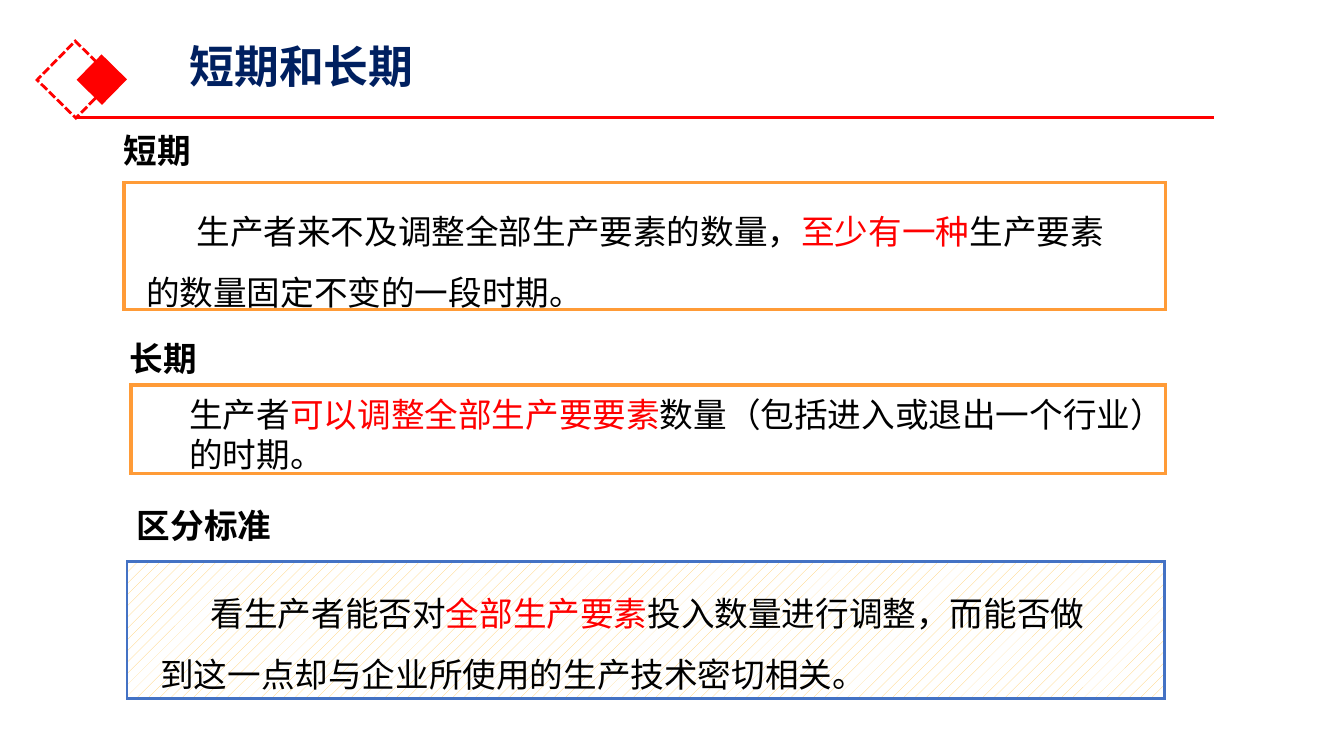
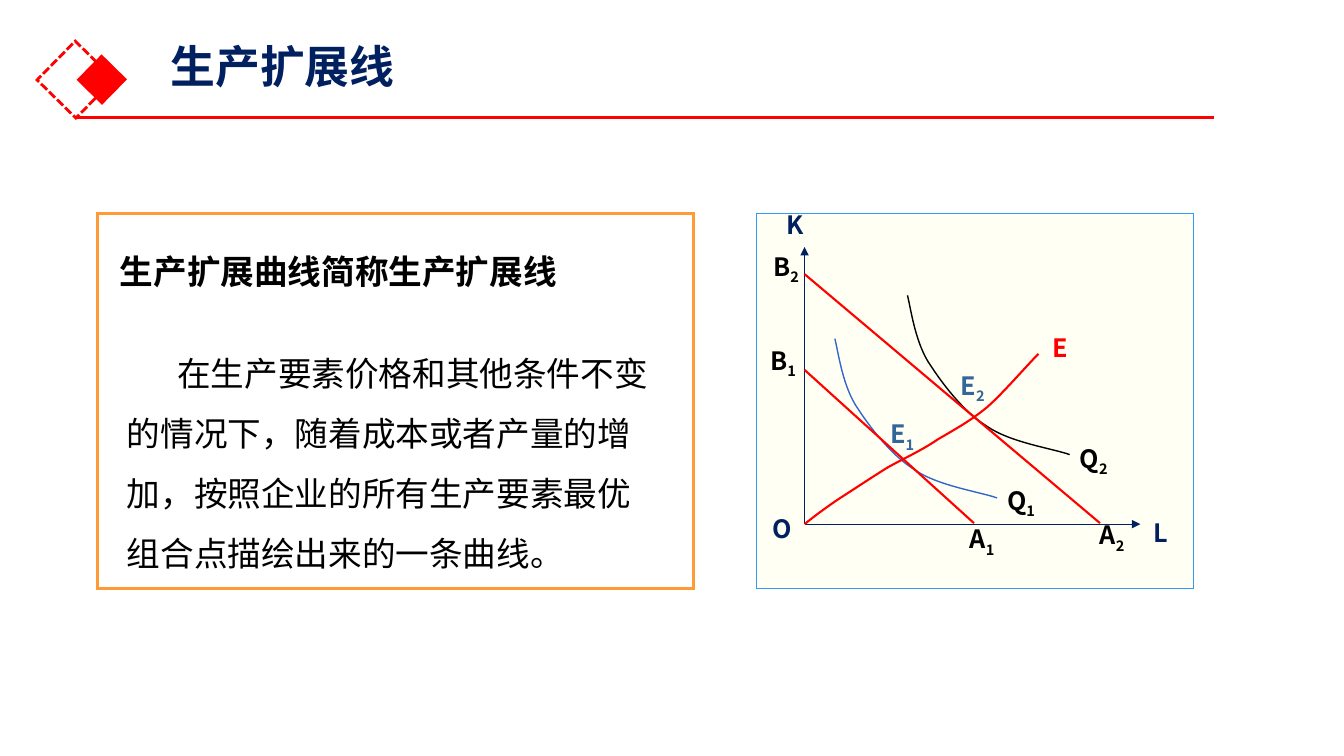
from lxml import etree
from pptx import Presentation, util as u
from pptx.dml.color import RGBColor
from pptx.enum import dml, shapes, text
from pptx.oxml.ns import qn

FONT = "Noto Sans CJK SC"
RED = RGBColor(0xFF, 0, 0)
NAVY = RGBColor(0, 0x20, 0x60)
BLACK = RGBColor(0, 0, 0)
WHITE = RGBColor(0xFF, 0xFF, 0xFF)
ORANGE = RGBColor(0xFF, 0x9B, 0x37)
GOLD = RGBColor(0xFF, 0xCC, 0x66)
BLUE = RGBColor(0x44, 0x72, 0xC4)
SKY = RGBColor(0x33, 0x99, 0xFF)
CREAM = RGBColor(0xFF, 0xFF, 0xF3)
ROYAL = RGBColor(0x33, 0x66, 0xCC)
STEEL = RGBColor(0x33, 0x66, 0x99)


def say(frame, paras, size=24, bold=False, space=None, indent=0):
    for n, parts in enumerate(paras):
        para = frame.paragraphs[0] if n == 0 else frame.add_paragraph()
        para.alignment = text.PP_ALIGN.LEFT
        para.line_spacing = space
        if indent:
            para._p.get_or_add_pPr().set("indent", str(u.Inches(indent)))
        for words, color, *base in parts:
            run = para.add_run()
            run.text = words
            run.font.size = u.Pt(size)
            run.font.bold = bold
            run.font.name = FONT
            run.font.color.rgb = color
            props = run._r.get_or_add_rPr()
            etree.SubElement(props, qn("a:ea")).set("typeface", FONT)
            if base:
                props.set("baseline", str(base[0]))


def rule(page, ends, color, width, arrow=False):
    line = page.shapes.add_connector(
        shapes.MSO_CONNECTOR.STRAIGHT, *[u.Inches(v) for v in ends])
    line.line.color.rgb = color
    line.line.width = u.Pt(width)
    if arrow:
        etree.SubElement(line.line._get_or_add_ln(), qn("a:tailEnd")).set("type", "triangle")
    etree.SubElement(line._element.spPr, qn("a:effectLst"))


deck = Presentation()
deck.slide_width = u.Inches(13.33)
deck.slide_height = u.Inches(7.5)
RECT = shapes.MSO_SHAPE.RECTANGLE

pages = []
for name, left in [("短期和长期", 1.78), ("生产扩展线", 1.59)]:
    page = deck.slides.add_slide(deck.slide_layouts[5])
    pages.append(page)
    title = page.shapes.title
    title.left, title.top = u.Inches(left), u.Inches(0.35)
    title.width, title.height = u.Inches(11.5), u.Inches(0.6)
    frame = title.text_frame
    frame.auto_size = text.MSO_AUTO_SIZE.NONE
    frame.vertical_anchor = text.MSO_ANCHOR.MIDDLE
    say(frame, [[(name, NAVY)]], 32, True, u.Pt(38))
    for x, y, side, solid in [(0.48, 0.52, 0.54, False), (0.84, 0.62, 0.34, True)]:
        gem = page.shapes.add_shape(RECT, *[u.Inches(v) for v in (x, y, side, side)])
        gem.rotation = 314.5
        gem.shadow.inherit = False
        gem.line.color.rgb = RED
        if solid:
            gem.fill.solid()
            gem.fill.fore_color.rgb = RED
            gem.line.width = u.Pt(1)
        else:
            gem.fill.background()
            gem.line.width = u.Pt(2)
            gem.line.dash_style = dml.MSO_LINE.SQUARE_DOT
        etree.SubElement(gem.line._get_or_add_ln(), qn("a:miter")).set("lim", "800000")
    rule(page, (0.75, 1.17, 12.04, 1.17), RED, 2.25)
terms, graph = pages

panels = [
    (terms, (1.26, 5.57, 10.29, 1.36), "hatch", BLUE, 1.75),
    (terms, (1.23, 1.81, 10.33, 1.26), None, ORANGE, 2.25),
    (terms, (1.3, 3.82, 10.26, 0.88), None, ORANGE, 2.25),
    (graph, (7.5, 2.12, 4.34, 3.72), "cream", SKY, 0.75),
    (graph, (0.97, 2.12, 5.91, 3.72), None, ORANGE, 2.25),
]
for page, area, fill, color, width in panels:
    panel = page.shapes.add_shape(RECT, *[u.Inches(v) for v in area])
    panel.shadow.inherit = False
    panel.line.color.rgb = color
    panel.line.width = u.Pt(width)
    etree.SubElement(panel.line._get_or_add_ln(), qn("a:miter")).set("lim", "800000")
    if fill == "hatch":
        panel.fill.patterned()
        panel.fill.pattern = dml.MSO_PATTERN.PERCENT_10
        panel.fill.fore_color.rgb = GOLD
        panel.fill.back_color.rgb = WHITE
    elif fill == "cream":
        panel.fill.solid()
        panel.fill.fore_color.rgb = CREAM
    else:
        panel.fill.background()

heads = [
    (terms, (1.13, 1.24, 1.68, 0.5), "短期"),
    (terms, (1.19, 3.31, 1.87, 0.5), "长期"),
    (terms, (1.26, 4.96, 1.87, 0.5), "区分标准"),
    (graph, (1.09, 2.44, 4.66, 0.5), "生产扩展曲线简称生产扩展线"),
]
notes = [(page, area, [[(words, BLACK)]], True, 28.6, 0) for page, area, words in heads]
notes += [
    (terms, (1.35, 1.85, 9.95, 1.22),
     [[("生产者来不及调整全部生产要素的数量，", BLACK), ("至少有一种", RED),
       ("生产要素的数量固定不变的一段时期。", BLACK)]], False, 43, 0.5),
    (terms, (1.78, 3.86, 10.94, 0.91),
     [[("生产者", BLACK), ("可以调整全部生产要要素", RED),
       ("数量（包括进入或退出一个行业）", BLACK)],
      [("的时期。", BLACK)]], False, 28.6, 0),
    (terms, (1.49, 5.64, 9.68, 1.24),
     [[("看生产者能否对", BLACK), ("全部生产要素", RED),
       ("投入数量进行调整，而能否做到这一点却与企业所使用的生产技术密切相关。", BLACK)]],
     False, 43, 0.5),
    (graph, (1.16, 3.25, 5.43, 2.45),
     [[("在生产要素价格和其他条件不变的情况下，随着成本或者产量的增加，"
        "按照企业的所有生产要素最优组合点描绘出来的一条曲线。", BLACK)]], False, 43, 0.5),
]
for page, area, paras, bold, space, indent in notes:
    box = page.shapes.add_textbox(*[u.Inches(v) for v in area])
    box.text_frame.word_wrap = True
    say(box.text_frame, paras, 24, bold, u.Pt(space), indent)

X0, Y0 = 7.98, 5.2
rule(graph, (X0, Y0, X0, 2.45), NAVY, 0.75, True)
rule(graph, (X0, Y0, 11.31, Y0), NAVY, 0.75, True)

bend = [(8.28, 3.36), (8.31, 3.47), (8.35, 3.79), (8.48, 4.01), (8.62, 4.23),
        (8.83, 4.51), (9.07, 4.66), (9.3, 4.82), (9.72, 4.88), (9.89, 4.94)]
path = [(X0, Y0), (8.04, 5.15), (8.21, 5.02), (8.35, 4.93), (8.49, 4.84),
        (8.64, 4.74), (8.8, 4.64), (8.96, 4.55), (9.14, 4.47), (9.3, 4.36),
        (9.47, 4.26), (9.62, 4.18), (9.79, 4.04), (9.95, 3.9), (10.19, 3.62),
        (10.3, 3.51)]
shift = [(x + 0.72, y - 0.43) for x, y in bend]
for knots, color, width in [(bend, ROYAL, 1), (shift, BLACK, 1), (path, RED, 1.5)]:
    spots = [(u.Inches(x), u.Inches(y)) for x, y in knots]
    pen = graph.shapes.build_freeform(*spots[0])
    pen.add_line_segments(spots[1:], close=False)
    curve = pen.convert_to_shape()
    legs = list(curve._element.iter(qn("a:lnTo")))
    for i in range(0, len(legs), 3):
        arc = etree.Element(qn("a:cubicBezTo"))
        legs[i].addprevious(arc)
        for leg in legs[i:i + 3]:
            arc.append(leg[0])
            leg.getparent().remove(leg)
    curve.shadow.inherit = False
    curve.fill.background()
    curve.line.color.rgb = color
    curve.line.width = u.Pt(width)
for high, far in [(3.67, 9.66), (2.72, 10.91)]:
    rule(graph, (X0, high, far, 5.19), RED, 1.5)

labels = [
    ("K", "", 7.7, 1.94, 0.58, NAVY),
    ("L", "", 11.34, 4.99, 0.58, NAVY),
    ("O", "", 7.56, 4.95, 0.58, NAVY),
    ("E", "", 10.34, 3.2, 0.5, RED),
    ("Q", "1", 9.89, 4.86, 0.25, BLACK),
    ("Q", "2", 10.61, 4.41, 0.31, BLACK),
    ("E", "1", 8.73, 4.14, 0.37, STEEL),
    ("E", "2", 9.43, 3.74, 0.2, STEEL),
    ("A", "1", 9.52, 5.24, 0.25, BLACK),
    ("A", "2", 10.81, 5.17, 0.31, BLACK),
    ("B", "1", 7.54, 3.47, 0.25, BLACK),
    ("B", "2", 7.57, 2.51, 0.31, BLACK),
]
for sign, sub, x, y, high, color in labels:
    box = graph.shapes.add_textbox(*[u.Inches(v) for v in (x, y, 0.5, high)])
    box.text_frame.word_wrap = False
    box.text_frame.vertical_anchor = text.MSO_ANCHOR.MIDDLE
    parts = [(sign, color)]
    if sub:
        parts.append((sub, color, -25000))
    say(box.text_frame, [parts], 18, True)

deck.save("out.pptx")
